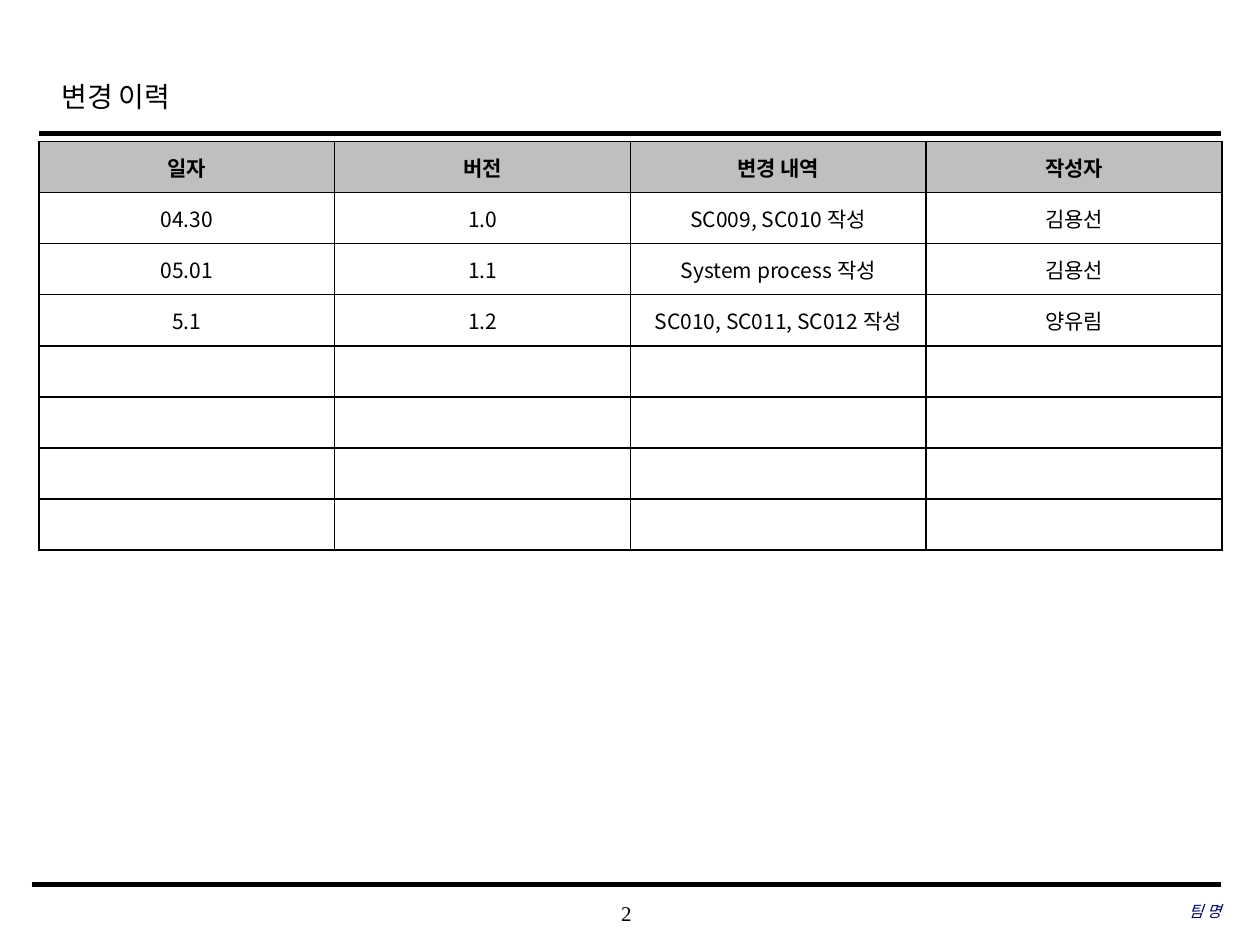
from lxml.etree import SubElement
from pptx import Presentation
from pptx.dml.color import RGBColor
from pptx.enum.shapes import MSO_CONNECTOR as CONN
from pptx.enum.text import MSO_ANCHOR as ANCHOR, PP_ALIGN as ALIGN
from pptx.oxml.ns import qn
from pptx.util import Pt

# Content
TITLE, PAGE, TEAM = "변경 이력", "2", "팀 명"
HEADERS = ["일자", "버전", "변경 내역", "작성자"]
CHANGES = [
    ["04.30", "1.0", "SC009, SC010 작성", "김용선"],
    ["05.01", "1.1", "System process 작성", "김용선"],
    ["5.1", "1.2", "SC010, SC011, SC012 작성", "양유림"],
]
EMPTY_ROWS = 4

# Layout and style, in points
RIGHT = 697.7
TABLE_LEFT, TABLE_TOP = 22.3, 80.8
COL_W, ROW_H = 169, 29.2
RULES = [(22.3, 76.3, 2.5), (18, 505.4, 3)]  # left, y, weight
SERIF, SANS = "Times New Roman", "Noto Sans CJK KR"
BLACK, NAVY, GREY, WHITE = "000000", "000066", "BFBFBF", "FFFFFF"


def rgb(color):
    return RGBColor.from_string(color)


def write(p, text, size, font, color=BLACK, align=ALIGN.LEFT, bold=False, italic=False):
    p.text, p.alignment = text, align
    f = p.font
    f.size, f.name, f.bold, f.italic = Pt(size), font, bold, italic
    f.color.rgb = rgb(color)
    # Hangul needs its own typeface
    SubElement(p._p.pPr.find(qn("a:defRPr")), qn("a:ea"), typeface=SANS)


def add_text(s, box, text, size, inset=True, **style):
    tf = s.shapes.add_textbox(*map(Pt, box)).text_frame
    tf.word_wrap, tf.vertical_anchor = True, ANCHOR.MIDDLE
    if not inset:
        tf.margin_left = tf.margin_right = tf.margin_top = tf.margin_bottom = 0
    p = tf.paragraphs[0]
    write(p, text, size, SERIF, **style)
    return p


def add_rule(s, left, y, weight):
    line = s.shapes.add_connector(CONN.STRAIGHT, Pt(left), Pt(y), Pt(RIGHT), Pt(y))
    line.line.color.rgb, line.line.width = rgb(BLACK), Pt(weight)
    SubElement(line._element.spPr, qn("a:effectLst"))


def style_cell(cell, fill):
    cell.vertical_anchor = ANCHOR.MIDDLE
    cell.margin_top = cell.margin_bottom = 0
    tcPr = cell._tc.get_or_add_tcPr()
    for side in ("lnL", "lnR", "lnT", "lnB"):
        ln = SubElement(tcPr, qn("a:" + side), w=str(Pt(1)))
        SubElement(SubElement(ln, qn("a:solidFill")), qn("a:srgbClr"), val=BLACK)
    cell.fill.solid()
    cell.fill.fore_color.rgb = rgb(fill)


def add_history(s):
    rows = [HEADERS] + CHANGES + [[""] * len(HEADERS)] * EMPTY_ROWS
    n_rows, n_cols = len(rows), len(HEADERS)
    table = s.shapes.add_table(n_rows, n_cols, Pt(TABLE_LEFT), Pt(TABLE_TOP),
                               Pt(COL_W * n_cols), Pt(ROW_H * n_rows)).table
    for col in table.columns:
        col.width = Pt(COL_W)
    for i, texts in enumerate(rows):
        table.rows[i].height = Pt(ROW_H)
        for j, text in enumerate(texts):
            cell = table.cell(i, j)
            style_cell(cell, WHITE if i else GREY)
            write(cell.text_frame.paragraphs[0], text, 12, SANS,
                  align=ALIGN.CENTER, bold=i == 0)


def main():
    prs = Presentation()
    prs.slide_width, prs.slide_height = Pt(720), Pt(540)
    s = prs.slides.add_slide(prs.slide_layouts[6])

    # Page number and rules
    add_text(s, (283, 509.8, 150, 23.8), PAGE, 12, inset=False, align=ALIGN.CENTER)
    for rule in RULES:
        add_rule(s, *rule)

    # Title, change history, team name
    add_text(s, (28, 35.3, 543.6, 36), TITLE, 16).line_spacing = 1.2
    add_history(s)
    add_text(s, (477.4, 509, 220.3, 23.8), TEAM, 9, inset=False,
             color=NAVY, align=ALIGN.RIGHT, italic=True)

    prs.save("out.pptx")


if __name__ == "__main__":
    main()
